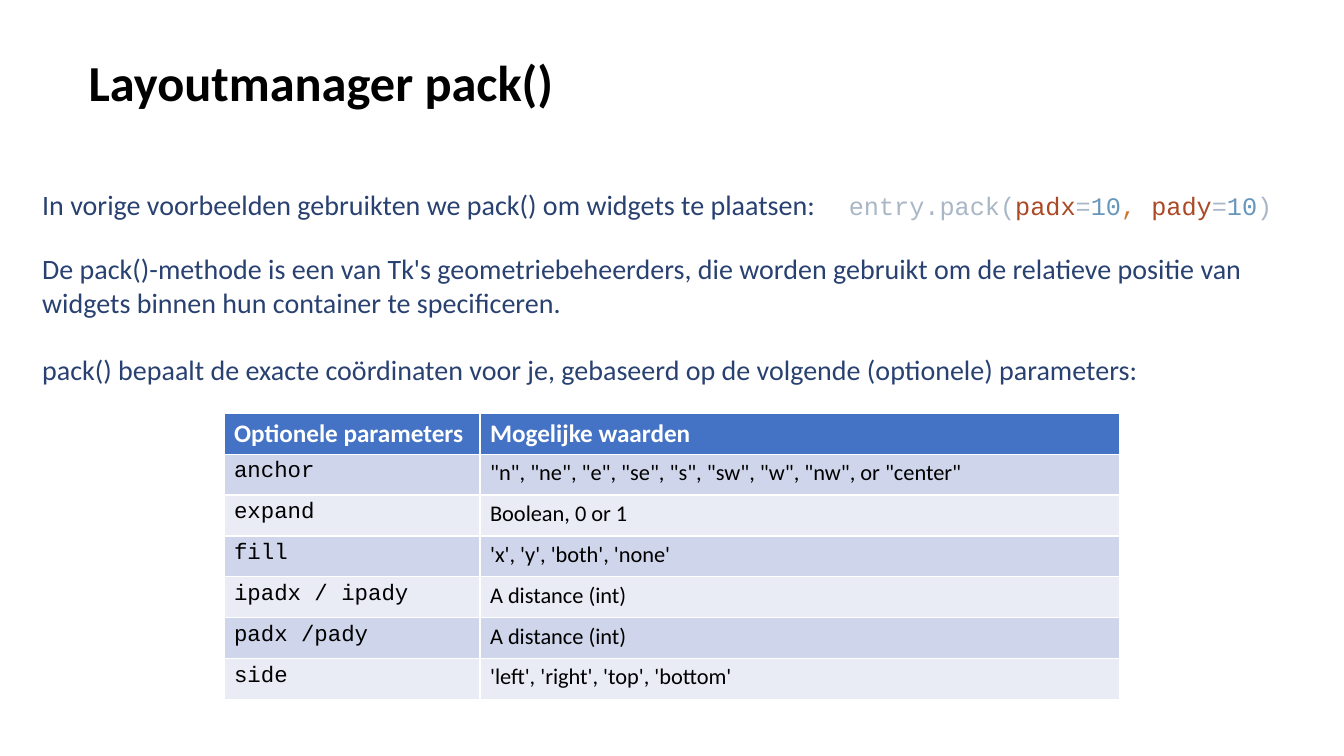
from pptx import Presentation
from pptx.dml.color import RGBColor
from pptx.enum.text import MSO_ANCHOR, MSO_AUTO_SIZE, PP_ALIGN
from pptx.oxml.ns import qn
from pptx.util import Inches, Pt
from lxml.etree import SubElement

BLACK = RGBColor(0x00, 0x00, 0x00)
WHITE = RGBColor(0xFF, 0xFF, 0xFF)
NAVY = RGBColor(0x29, 0x41, 0x71)
GREY = RGBColor(0xA9, 0xB7, 0xC6)
RUST = RGBColor(0xAA, 0x49, 0x26)
BLUE = RGBColor(0x68, 0x97, 0xBB)
ORANGE = RGBColor(0xCC, 0x78, 0x32)
HEADER = RGBColor(0x44, 0x72, 0xC4)
BANDS = [RGBColor(0xE9, 0xEB, 0xF5), RGBColor(0xCF, 0xD5, 0xEA)]
SANS, MONO = "Calibri", "Courier New"


def add_text(p, text, size=20, color=NAVY, font=SANS, bold=False):
    r = p.add_run()
    r.text = text
    r.font.size = Pt(size)
    r.font.color.rgb = color
    r.font.name = font
    r.font.bold = bold


prs = Presentation()
prs.slide_width, prs.slide_height = Inches(13.33), Inches(7.5)
W, H = prs.slide_width, prs.slide_height
s = prs.slides.add_slide(prs.slide_layouts[5])

title = s.shapes.title
title.left, title.top = Inches(0.78), 0
title.width, title.height = Inches(8.87), Inches(1.61)
tf = title.text_frame
tf.auto_size = MSO_AUTO_SIZE.NONE
tf.vertical_anchor = MSO_ANCHOR.MIDDLE
p = tf.paragraphs[0]
p.alignment = PP_ALIGN.LEFT
add_text(p, "Layoutmanager pack()", size=36, color=BLACK, bold=True)

tf = s.shapes.add_textbox(Inches(0.32), Inches(1.81), Inches(12.48), Inches(2.39)).text_frame
tf.word_wrap = True
p = tf.paragraphs[0]
tabs = SubElement(p._p.get_or_add_pPr(), qn("a:tabLst"))
SubElement(tabs, qn("a:tab"), pos=str(Inches(8)), algn="l")
add_text(p, "In vorige voorbeelden gebruikten we pack() om widgets te plaatsen:\t")
for text, color in [("entry.pack(", GREY), ("padx", RUST), ("=", GREY), ("10", BLUE),
                    (", ", ORANGE), ("pady", RUST), ("=", GREY), ("10", BLUE), (")", GREY)]:
    add_text(p, text, size=18, color=color, font=MONO)

for text, gap in [
    ("De pack()-methode is een van Tk's geometriebeheerders, die worden gebruikt om "
     "de relatieve positie van widgets binnen hun container te specificeren.", 22),
    ("pack() bepaalt de exacte coördinaten voor je, gebaseerd op de volgende "
     "(optionele) parameters:", 24),
]:
    p = tf.add_paragraph()
    p.space_before = Pt(gap)
    add_text(p, text)

rows = [
    ("Optionele parameters", "Mogelijke waarden"),
    ("anchor", '"n", "ne", "e", "se", "s", "sw", "w", "nw", or "center"'),
    ("expand", "Boolean, 0 or 1"),
    ("fill", "'x', 'y', 'both', 'none'"),
    ("ipadx / ipady", "A distance (int)"),
    ("padx /pady", "A distance (int)"),
    ("side", "'left', 'right', 'top', 'bottom'"),
]
table_w = W * 2 // 3
table = s.shapes.add_table(len(rows), 2, W // 6, Inches(4.1), table_w, Inches(2.84)).table
table.columns[0].width = table_w * 2 // 7
table.columns[1].width = table_w * 5 // 7
for i, row in enumerate(rows):
    for j, text in enumerate(row):
        cell = table.cell(i, j)
        cell.fill.solid()
        cell.fill.fore_color.rgb = BANDS[i % 2] if i else HEADER
        p = cell.text_frame.paragraphs[0]
        if i == 0:
            add_text(p, text, size=18, color=WHITE, bold=True)
        else:
            add_text(p, text, size=16, color=BLACK, font=SANS if j else MONO)

prs.save("out.pptx")
